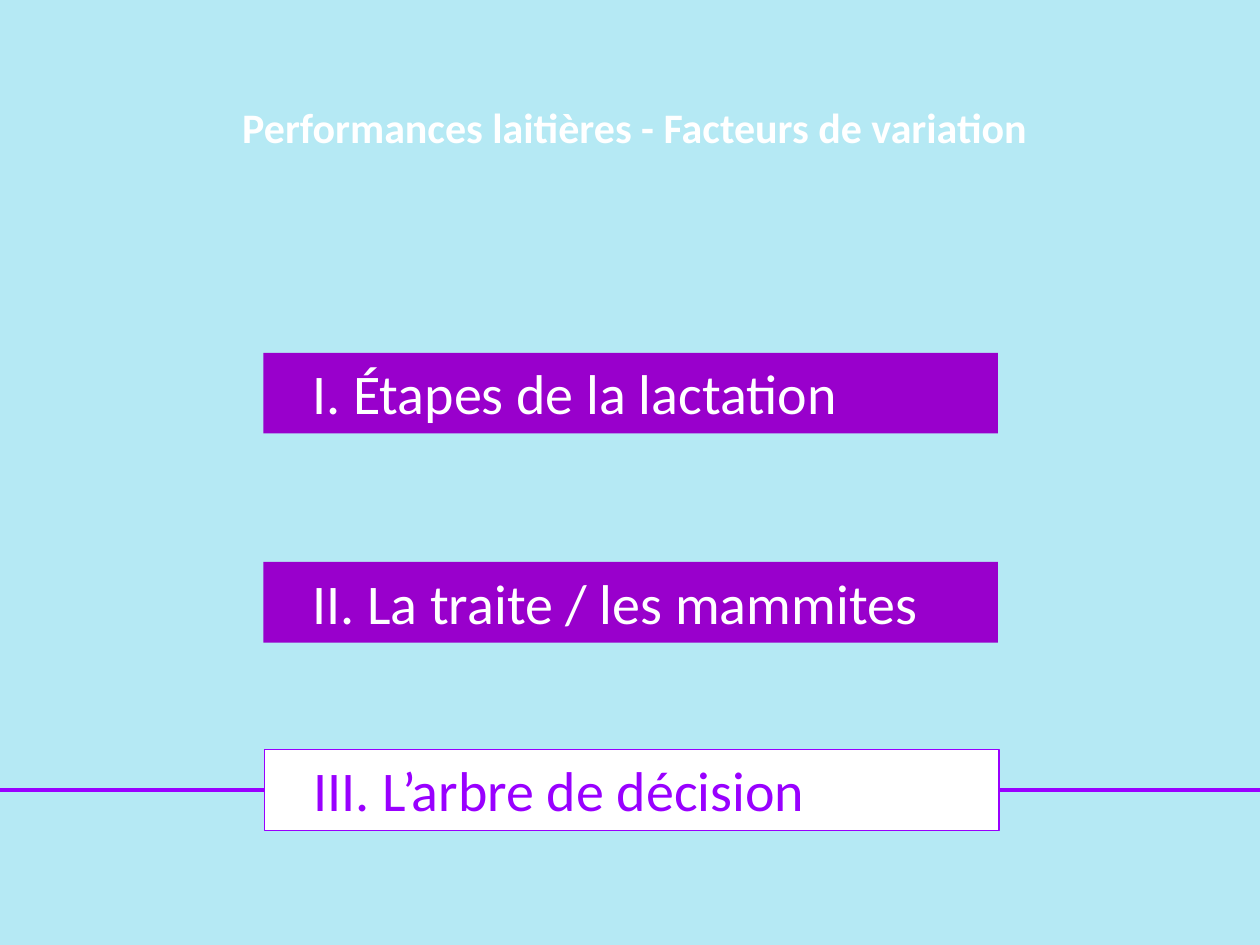
from dataclasses import dataclass
from typing import Optional

from lxml.etree import SubElement
from pptx import Presentation
from pptx.dml.color import RGBColor
from pptx.enum.shapes import MSO_CONNECTOR, MSO_SHAPE
from pptx.enum.text import MSO_ANCHOR, MSO_AUTO_SIZE, PP_ALIGN
from pptx.oxml.ns import qn
from pptx.util import Inches, Pt

FONT = "Calibri"
PALE_BLUE = RGBColor(0xB5, 0xE9, 0xF4)
PURPLE = RGBColor(0x99, 0x00, 0xCC)
VIOLET = RGBColor(0x99, 0x00, 0xFF)
WHITE = RGBColor(0xFF, 0xFF, 0xFF)

SLIDE_WIDTH, SLIDE_HEIGHT = 10, 7.5
CHAPTER_WIDTH, CHAPTER_HEIGHT = 5.83, 0.64


@dataclass(frozen=True)
class Chapter:
    heading: str
    left: float
    top: float
    fill: RGBColor
    ink: RGBColor
    outline: Optional[RGBColor] = None


CHAPTERS = [
    Chapter("I. Étapes de la lactation", 2.09, 2.8, PURPLE, WHITE),
    Chapter("II. La traite / les mammites", 2.09, 4.46, PURPLE, WHITE),
    Chapter("III. L’arbre de décision", 2.1, 5.95, WHITE, VIOLET, VIOLET),
]


def add_panel(slide, left: float, top: float, width: float, height: float,
              fill: RGBColor, outline: Optional[RGBColor] = None):
    panel = slide.shapes.add_shape(
        MSO_SHAPE.RECTANGLE, Inches(left), Inches(top), Inches(width), Inches(height))
    panel.shadow.inherit = False
    panel.fill.solid()
    panel.fill.fore_color.rgb = fill
    if outline is None:
        panel.line.fill.background()
    else:
        panel.line.color.rgb = outline
        panel.line.width = Pt(0.75)
    return panel


def add_run(paragraph, text: str, size: float, color: RGBColor, bold: bool = False) -> None:
    run = paragraph.add_run()
    run.text = text
    run.font.name = FONT
    run.font.size = Pt(size)
    run.font.bold = bold
    run.font.color.rgb = color


def add_rule(slide, y: float) -> None:
    """Draw the full-width line that marks the current chapter."""
    rule = slide.shapes.add_connector(
        MSO_CONNECTOR.STRAIGHT, 0, Inches(y), Inches(SLIDE_WIDTH), Inches(y))
    rule.line.color.rgb = VIOLET
    rule.line.width = Pt(2.25)
    SubElement(rule._element.spPr, qn("a:effectLst"))


def add_title(slide, text: str) -> None:
    title = slide.shapes.add_textbox(0, Inches(0.76), Inches(SLIDE_WIDTH), Inches(0.52))
    title.text_frame.word_wrap = True
    paragraph = title.text_frame.paragraphs[0]
    paragraph.alignment = PP_ALIGN.CENTER
    add_run(paragraph, text, 24, WHITE, bold=True)


def add_chapter(slide, chapter: Chapter) -> None:
    panel = add_panel(slide, chapter.left, chapter.top, CHAPTER_WIDTH, CHAPTER_HEIGHT,
                      chapter.fill, chapter.outline)
    frame = panel.text_frame
    frame.word_wrap = True
    frame.auto_size = MSO_AUTO_SIZE.SHAPE_TO_FIT_TEXT
    frame.vertical_anchor = MSO_ANCHOR.TOP
    paragraph = frame.paragraphs[0]
    paragraph.alignment = PP_ALIGN.LEFT
    paragraph._p.get_or_add_pPr().set("marL", str(Inches(0.29)))
    add_run(paragraph, chapter.heading, 32, chapter.ink)


def main() -> None:
    deck = Presentation()
    deck.slide_width = Inches(SLIDE_WIDTH)
    deck.slide_height = Inches(SLIDE_HEIGHT)
    slide = deck.slides.add_slide(deck.slide_layouts[6])

    add_panel(slide, 0, 0, 10.04, SLIDE_HEIGHT, PALE_BLUE)
    add_rule(slide, 6.27)
    add_title(slide, " Performances laitières - Facteurs de variation")
    for chapter in CHAPTERS:
        add_chapter(slide, chapter)

    deck.save("out.pptx")


if __name__ == "__main__":
    main()
